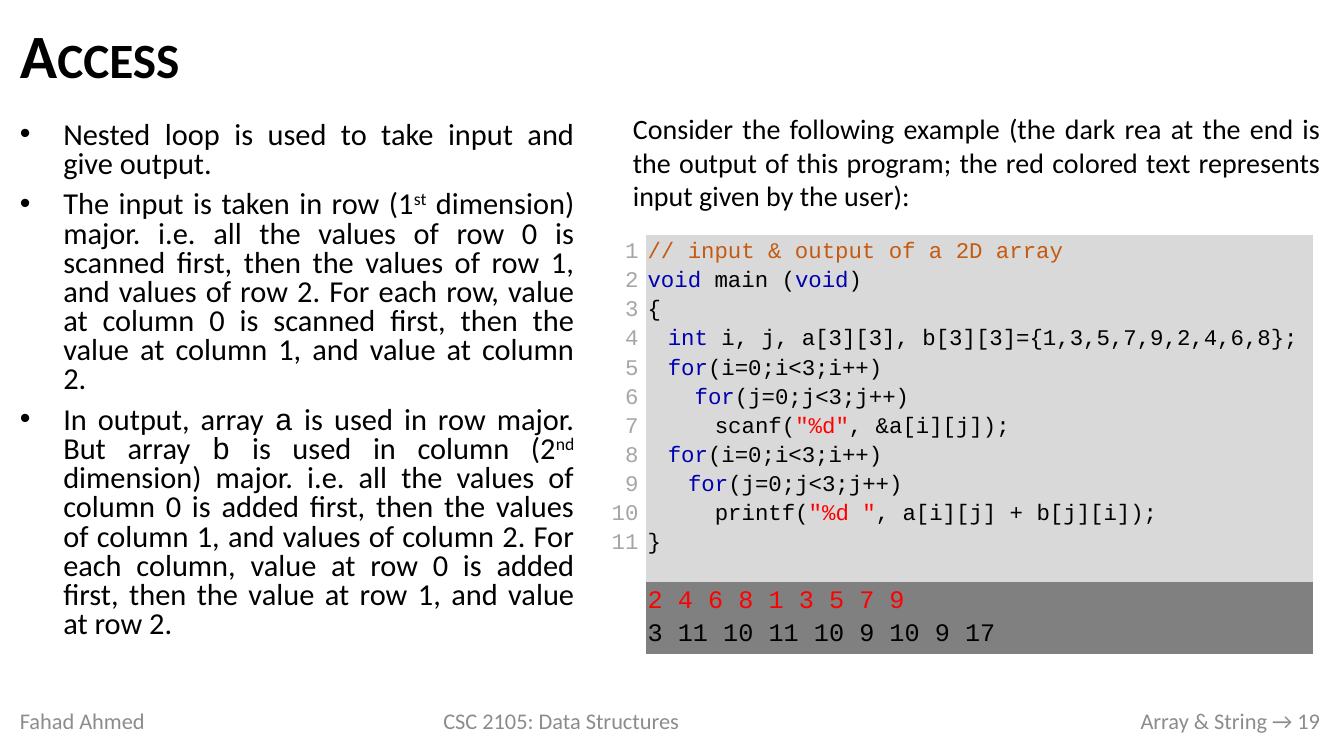
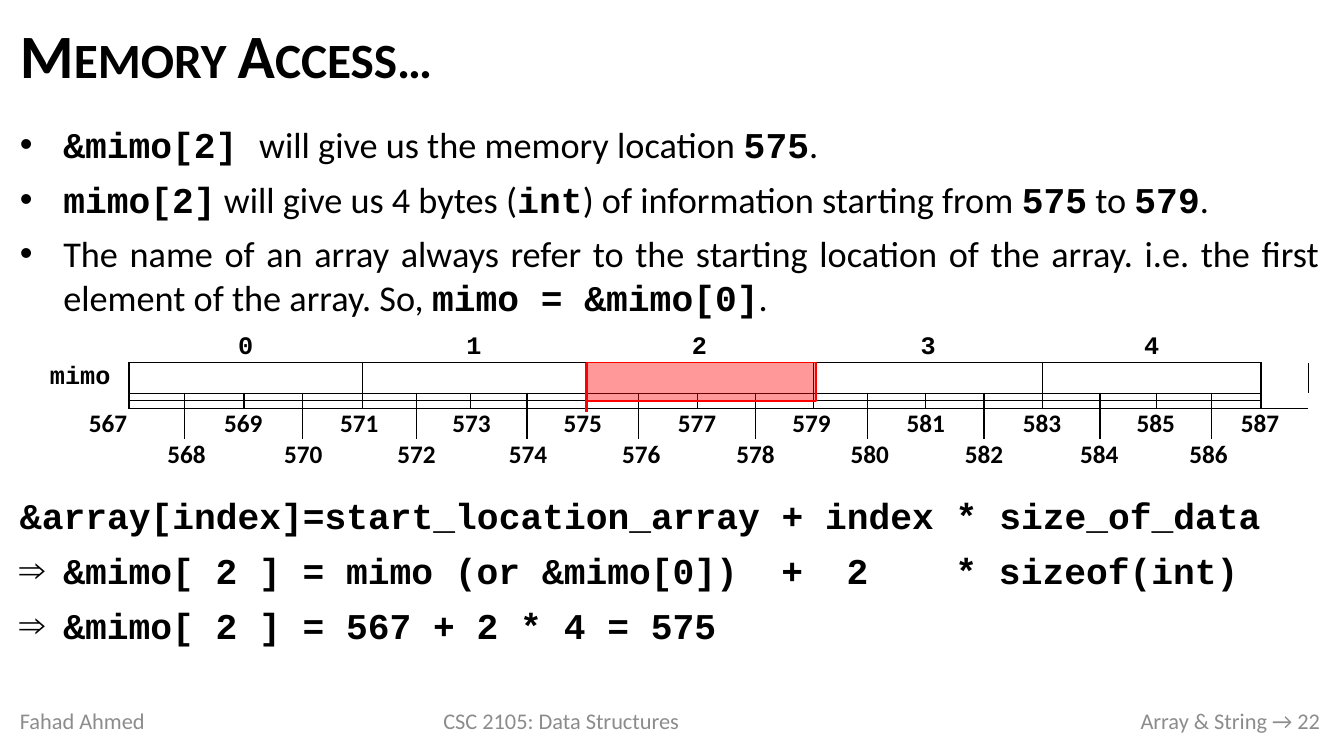
from lxml.etree import SubElement
from pptx import Presentation
from pptx.dml.color import RGBColor
from pptx.enum.shapes import MSO_CONNECTOR, MSO_SHAPE
from pptx.enum.text import MSO_ANCHOR, MSO_AUTO_SIZE, PP_ALIGN
from pptx.oxml.ns import qn
from pptx.util import Cm, Pt

color = RGBColor.from_string

# Shared look
BLACK, RED, GRAY = "000000", "FF0000", "8C8C8C"
NO_GRID_STYLE = "{2D5ABB26-0587-4C30-8999-92F81FD0307C}"
BULLET_INDENT = 1.09
# style name: font, bold, colour, baseline
STYLES = {
    "text": ("Calibri", False, BLACK, None),
    "strong": ("Calibri", True, BLACK, None),
    "super": ("Calibri", False, BLACK, "30000"),
    "footer": ("Calibri", False, GRAY, None),
    "code": ("Courier New", False, BLACK, None),
    "bold code": ("Courier New", True, BLACK, None),
    "comment": ("Courier New", False, "C55A11", None),
    "keyword": ("Courier New", False, "0000B0", None),
    "string": ("Courier New", False, RED, None),
    "number": ("Courier New", False, "A6A6A6", None),
}


def write(paragraph, runs, size, alignment=PP_ALIGN.LEFT, spacing=1.0,
          before=0, after=0, left=0, bullet=None):
    """Fill a paragraph with (text, style) runs."""
    paragraph.alignment = alignment
    paragraph.line_spacing = spacing
    paragraph.space_before, paragraph.space_after = Pt(before), Pt(after)
    properties = paragraph._p.get_or_add_pPr()
    properties.set("marL", str(Cm(left)))
    properties.set("indent", str(-Cm(left) if bullet else 0))
    if bullet:
        SubElement(properties, qn("a:buFont"), typeface="Arial")
        SubElement(properties, qn("a:buChar"), char=bullet)
    else:
        SubElement(properties, qn("a:buNone"))
    for text, style in runs:
        run = paragraph.add_run()
        run.text = text
        name, bold, hex_color, baseline = STYLES[style]
        run.font.name, run.font.size, run.font.bold = name, Pt(size), bold
        run.font.color.rgb = color(hex_color)
        if baseline:
            run._r.get_or_add_rPr().set("baseline", baseline)


def add_plain_table(slide, left, top, widths, heights):
    """Add a table without grid, fills or cell margins."""
    frame = slide.shapes.add_table(len(heights), len(widths), Cm(left), Cm(top),
                                   Cm(sum(widths)), Cm(sum(heights)))
    table = frame.table
    table.first_row = table.horz_banding = False
    next(frame.element.iter(qn("a:tableStyleId"))).text = NO_GRID_STYLE
    for column, width in zip(table.columns, widths):
        column.width = Cm(width)
    for row, height in zip(table.rows, heights):
        row.height = Cm(height)
    for cell in table.iter_cells():
        cell.fill.background()
        cell.margin_left = cell.margin_right = cell.margin_top = cell.margin_bottom = 0
    return table


presentation = Presentation()
presentation.slide_width, presentation.slide_height = Cm(33.87), Cm(19.05)

# Titles, body frames and footers of both slides
slides, bodies = [], []
for title, number, body_width, body_height in [("Access", 19, 14.48, 13.92),
                                               ("Memory Access…", 22, 33.27, 14.38)]:
    slide = presentation.slides.add_slide(presentation.slide_layouts[1])
    shape = slide.shapes.title
    shape.left, shape.top, shape.width, shape.height = Cm(0.25), Cm(0.28), Cm(33.27), Cm(2.41)
    shape.text_frame.vertical_anchor = MSO_ANCHOR.MIDDLE
    shape.text_frame.auto_size = MSO_AUTO_SIZE.NONE
    paragraph = shape.text_frame.paragraphs[0]
    write(paragraph, [(title, "strong")], 44, spacing=0.9)
    paragraph.runs[0]._r.get_or_add_rPr().set("cap", "small")

    body = slide.placeholders[1]
    body.left, body.top, body.width, body.height = Cm(0.25), Cm(2.95), Cm(body_width), Cm(body_height)
    body.text_frame.auto_size = MSO_AUTO_SIZE.NONE

    for text, left, width, alignment in [
            ("Fahad Ahmed", 0.25, 6.12, PP_ALIGN.LEFT),
            ("CSC 2105: Data Structures", 9.88, 8.53, PP_ALIGN.CENTER),
            (f"Array & String → {number}", 19.58, 13.94, PP_ALIGN.RIGHT)]:
        footer = slide.shapes.add_textbox(Cm(left), Cm(17.65), Cm(width), Cm(1.02))
        footer.text_frame.word_wrap = True
        footer.text_frame.vertical_anchor = MSO_ANCHOR.MIDDLE
        write(footer.text_frame.paragraphs[0], [(text, "footer")], 16, alignment)
    slides.append(slide)
    bodies.append(body.text_frame)
access_slide, memory_slide = slides

# Body lists: runs, bullet, space before
access_list = [
    ([("Nested loop is used to take input and give output.", "text")], "•", 0),
    ([("The input is taken in row (1", "text"), ("st", "super"),
      (" dimension) major. i.e. all the values of row 0 is scanned first, then the values "
       "of row 1, and values of row 2. For each row, value at column 0 is scanned first, "
       "then the value at column 1, and value at column 2.", "text")], "•", 4),
    ([("In output, array ", "text"), ("a", "code"),
      (" is used in row major. But array ", "text"), ("b", "code"),
      (" is used in column (2", "text"), ("nd", "super"),
      (" dimension) major. i.e. all the values of column 0 is added first, then the values "
       "of column 1, and values of column 2. For each column, value at row 0 is added first, "
       "then the value at row 1, and value at row 2.", "text")], "•", 4),
]
memory_list = [
    ([("&mimo[2] ", "bold code"), ("will give us the memory location ", "text"),
      ("575", "bold code"), (".", "text")], "•", 0),
    ([("mimo[2]", "bold code"), (" will give us 4 bytes (", "text"), ("int", "bold code"),
      (") of information starting from ", "text"), ("575", "bold code"), (" to ", "text"),
      ("579", "bold code"), (".", "text")], "•", 4),
    ([("The name of an array always refer to the starting location of the array. i.e. the "
       "first element of the array. So, ", "text"), ("mimo = &mimo[0]", "bold code"),
      (".", "text")], "•", 4),
    ([("&array[index]=start_location_array + index * size_of_data", "bold code")], None, 121),
    ([("&mimo[ 2 ] = mimo (or &mimo[0])  +  2    * sizeof(int)", "bold code")], "⇒", 4),
    ([("&mimo[ 2 ] = 567 + 2 * 4 = 575", "bold code")], "⇒", 4),
]
for text_frame, items, size, spacing in [(bodies[0], access_list, 21.7, 0.8),
                                         (bodies[1], memory_list, 25.9, 1.0)]:
    for index, (runs, bullet, before) in enumerate(items):
        paragraph = text_frame.add_paragraph() if index else text_frame.paragraphs[0]
        write(paragraph, runs, size, PP_ALIGN.JUSTIFY, spacing, before, 4,
              BULLET_INDENT if bullet else 0, bullet)

# Access: introduction to the program
introduction = access_slide.shapes.add_textbox(Cm(15.7), Cm(2.69), Cm(17.83), Cm(2.82))
introduction.text_frame.word_wrap = True
write(introduction.text_frame.paragraphs[0],
      [("Consider the following example (the dark rea at the end is the output of this "
        "program; the red colored text represents input given by the user):", "text")],
      20, PP_ALIGN.JUSTIFY)

# Access: program with line numbers, and its output
code_lines = [  # indent level, runs
    (0, [("// input & output of a 2D array", "comment")]),
    (0, [("void", "keyword"), (" main (", "code"), ("void", "keyword"), (")", "code")]),
    (0, [("{", "code")]),
    (1, [("int ", "keyword"), ("i, j, a[3][3], b[3][3]={1,3,5,7,9,2,4,6,8};", "code")]),
    (1, [("for", "keyword"), ("(i=0;i<3;i++)", "code")]),
    (1, [("  ", "code"), ("for", "keyword"), ("(j=0;j<3;j++)", "code")]),
    (2, [("  scanf(", "code"), ('"%d"', "string"), (", &a[i][j]);", "code")]),
    (1, [("for", "keyword"), ("(i=0;i<3;i++)", "code")]),
    (2, [("for", "keyword"), ("(j=0;j<3;j++)", "code")]),
    (2, [("  printf(", "code"), ('"%d "', "string"), (", a[i][j] + b[j][i]);", "code")]),
    (0, [("}", "code")]),
]
number_lines = [(0, [(str(number), "number")]) for number in range(1, len(code_lines) + 1)]
output_lines = [(0, [("2 4 6 8 1 3 5 7 9", "string")]),
                (0, [("3 11 10 11 10 9 10 9 17", "code")])]
program = add_plain_table(access_slide, 15.32, 5.92, [0.97, 16.79], [8.74, 1.83])
for row, column, lines, size, fill, alignment in [
        (0, 0, number_lines, 16, None, PP_ALIGN.RIGHT),
        (0, 1, code_lines, 16, "D9D9D9", PP_ALIGN.LEFT),
        (1, 1, output_lines, 18, "808080", PP_ALIGN.LEFT)]:
    cell = program.cell(row, column)
    cell.margin_left = cell.margin_top = cell.margin_bottom = Cm(0.03)
    cell.margin_right = Cm(0.03 if fill else 0.2)
    if fill:
        cell.fill.solid()
        cell.fill.fore_color.rgb = color(fill)
    for index, (level, runs) in enumerate(lines):
        paragraph = cell.text_frame.add_paragraph() if index else cell.text_frame.paragraphs[0]
        write(paragraph, runs, size, alignment, 1.15, left=0.51 * level)

# Memory: strip of addresses, one column per byte
byte_widths = [2.46, 1.4, 1.5, 1.47, 1.52, 1.35, 1.37, 1.42, 1.47, 1.35, 1.47,
               1.47, 1.47, 1.35, 1.47, 1.47, 1.47, 1.45, 1.42, 1.4, 1.24, 1.19]
memory = add_plain_table(memory_slide, 0.79, 8.38, byte_widths,
                         [0.72, 0.72, 0.18, 0.2, 0.78, 0.78])
labels = [(1, 0, 1, "mimo", "bold code")]  # row, column, span, text, style
for element in range(5):
    labels += [(0, 1 + 4 * element, 4, str(element), "bold code"),
               (1, 1 + 4 * element, 4, "", "bold code")]
for byte in range(21):
    labels.append((4 + byte % 2, byte, 2, str(567 + byte), "strong"))
for row, column, span, text, style in labels:
    cell = memory.cell(row, column)
    if span > 1:
        cell.merge(memory.cell(row, column + span - 1))
    cell.vertical_anchor = MSO_ANCHOR.MIDDLE
    if text:
        write(cell.text_frame.paragraphs[0], [(text, style)], 18, PP_ALIGN.CENTER)

# Memory: element borders, byte ticks and tiny empty cells
ticks = {1: range(1, 22, 4), 2: range(1, 22), 3: range(1, 22), 4: range(2, 21, 2)}
for row in range(6):
    for column in range(22):
        cell = memory.cell(row, column)
        if not cell.text_frame.text:
            SubElement(cell.text_frame.paragraphs[0]._p, qn("a:endParaRPr"), sz="100")
        sides = ["a:lnL"] if column in ticks.get(row, ()) else []
        if row in (1, 3) and 1 <= column <= 20:
            sides.append("a:lnT")
        for position, side in enumerate(sides):
            cell_properties = cell._tc.get_or_add_tcPr()
            border = SubElement(cell_properties, qn(side), w=str(Pt(1)))
            cell_properties.insert(position, border)
            fill = SubElement(border, qn("a:solidFill"))
            SubElement(fill, qn("a:srgbClr"), val=BLACK)

# Memory: marker on element 2
marker = memory_slide.shapes.add_connector(MSO_CONNECTOR.STRAIGHT,
                                           Cm(14.78), Cm(9.14), Cm(14.78), Cm(10.39))
marker.line.color.rgb = color(RED)
marker.line.width = Pt(2.25)
SubElement(marker.element.spPr, qn("a:effectLst"))
highlight = memory_slide.shapes.add_shape(MSO_SHAPE.RECTANGLE,
                                          Cm(14.78), Cm(9.14), Cm(5.79), Cm(0.97))
highlight.shadow.inherit = False
highlight.fill.solid()
highlight.fill.fore_color.rgb = color(RED)
SubElement(next(highlight.element.spPr.iter(qn("a:srgbClr"))), qn("a:alpha"), val="40000")
highlight.line.color.rgb = color(RED)
highlight.line.width = Pt(1)

presentation.save("out.pptx")
